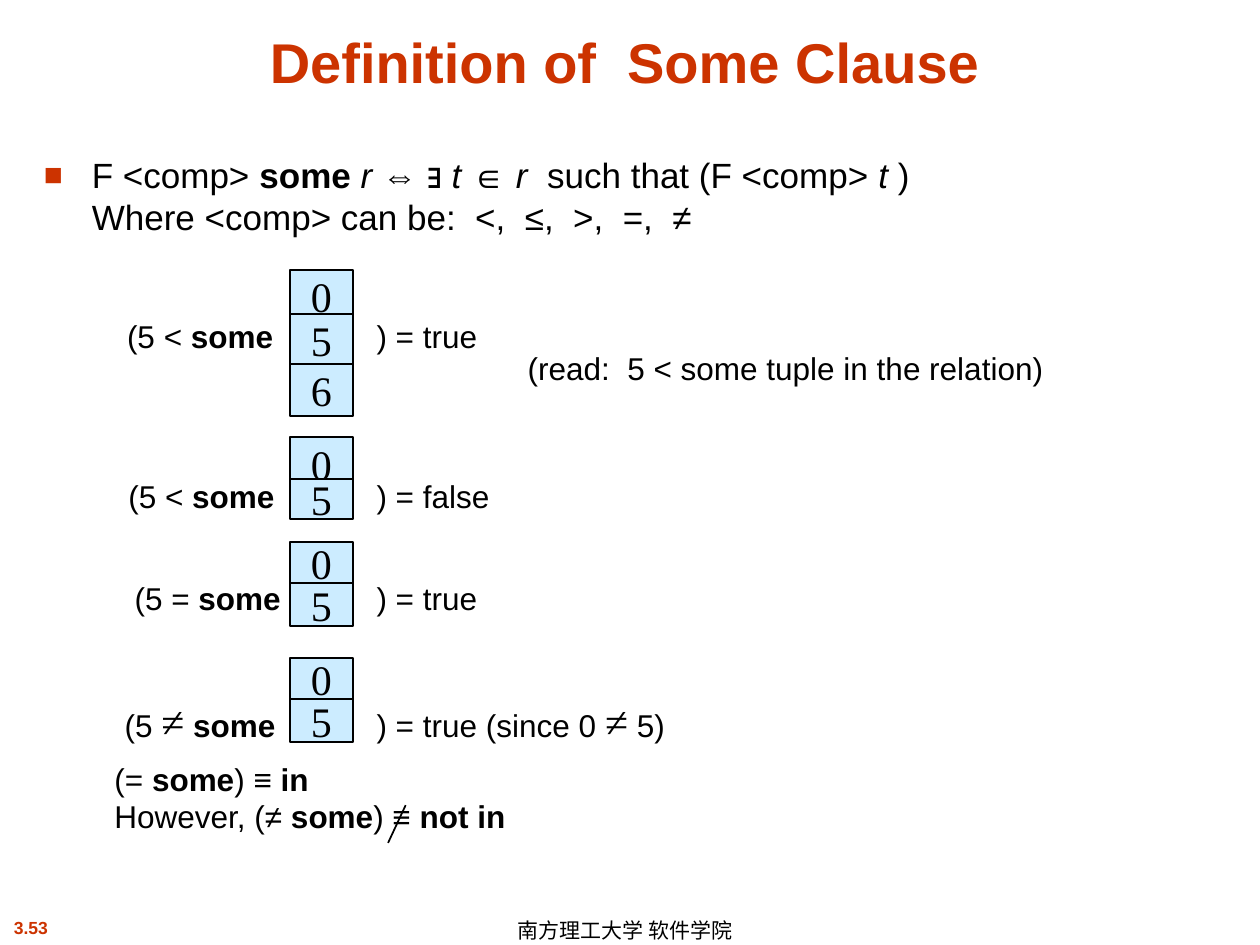
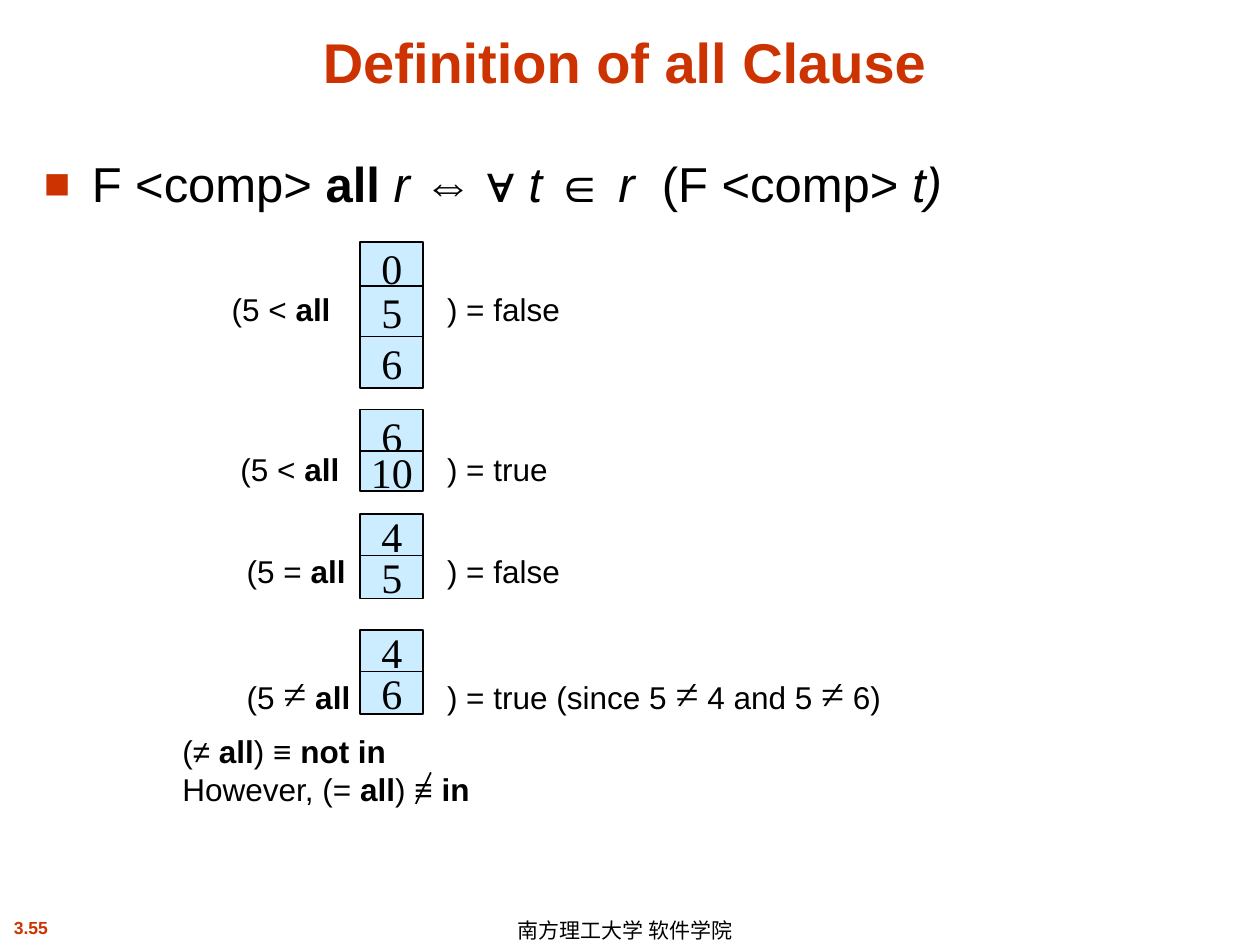
from dataclasses import dataclass
from typing import NamedTuple

from lxml.etree import SubElement
from pptx import Presentation
from pptx.dml.color import RGBColor
from pptx.enum.shapes import MSO_CONNECTOR as Connector, MSO_SHAPE as Shape
from pptx.enum.text import MSO_ANCHOR as Anchor, MSO_AUTO_SIZE as AutoSize, PP_ALIGN as Align
from pptx.oxml.ns import qn
from pptx.util import Inches, Pt

# Shared look
RED = RGBColor(0xCC, 0x33, 0x00)
BLACK = RGBColor(0x00, 0x00, 0x00)
CELL_BLUE = RGBColor(0xCC, 0xEC, 0xFF)
SANS, SERIF = "Arial", "Times New Roman"
FOOTER = "南方理工大学 软件学院"

# Layout below the top of the first relation: (offset, height) of each cell
STACKS = (
    ((0, 0.41), (0.35, 0.41), (0.75, 0.41)),
    ((1.33, 0.42), (1.66, 0.32)),
    ((2.16, 0.34), (2.49, 0.34)),
    ((3.08, 0.34), (3.41, 0.34)),
)
TEXT_OFFSETS = (0.33, 1.6, 2.41, 3.33)
CELL_WIDTH = 0.5
RESULT_GAP = 0.59
CONCLUSION_OFFSET = 3.84


class Span(NamedTuple):
    text: str
    bold: bool = False
    italic: bool = False
    serif: bool = False


class Place(NamedTuple):
    left: float
    top: float
    width: float
    height: float

    def inches(self) -> tuple:
        return tuple(Inches(value) for value in self)


def bold(text: str) -> Span:
    return Span(text, bold=True)


def italic(text: str) -> Span:
    return Span(text, italic=True)


BREAK = Span("\n")
NOT_EQUAL = Span("≠", serif=True)


@dataclass
class Case:
    label: list[Span]
    label_left: float
    label_width: float
    values: tuple[str, ...]
    result: list[Span]
    result_width: float = 1.33


@dataclass
class Clause:
    title: str
    number: str
    definition: list[Span]
    definition_size: int
    stack_left: float
    stack_top: float
    cases: list[Case]
    conclusion_left: float
    conclusion: list[list[Span]]
    slash: tuple[float, float, float, float]
    reading: str = ""


def style(font, size: float, color: RGBColor = BLACK, name: str = SANS, strong: bool = False) -> None:
    font.size, font.name, font.bold = Pt(size), name, strong
    font.color.rgb = color


def add_text(page, place: Place, lines: list[list[Span]], size: float = 18,
             color: RGBColor = BLACK, wrap: bool = True):
    frame = page.shapes.add_textbox(*place.inches()).text_frame
    frame.word_wrap = wrap
    for index, spans in enumerate(lines):
        para = frame.add_paragraph() if index else frame.paragraphs[0]
        for span in spans:
            if span == BREAK:
                para.add_line_break()
                continue
            run = para.add_run()
            run.text = span.text
            style(run.font, 24 if span.serif else size, color,
                  SERIF if span.serif else SANS, span.bold)
            run.font.italic = span.italic
    return frame


def add_bullet(para) -> None:
    props = para._p.get_or_add_pPr()
    props.set("marL", str(Inches(0.38)))
    props.set("indent", str(-Inches(0.38)))
    SubElement(SubElement(props, qn("a:buClr")), qn("a:srgbClr"), val=str(RED))
    SubElement(props, qn("a:buSzPct"), val="90000")
    SubElement(props, qn("a:buFont"), typeface=SANS)
    SubElement(props, qn("a:buChar"), char="■")


def add_cell(page, place: Place, value: str) -> None:
    box = page.shapes.add_shape(Shape.RECTANGLE, *place.inches())
    box.shadow.inherit = False
    box.fill.solid()
    box.fill.fore_color.rgb = CELL_BLUE
    box.line.color.rgb = BLACK
    box.line.width = Pt(1)
    frame = box.text_frame
    frame.text = value
    frame.word_wrap = False
    frame.vertical_anchor = Anchor.MIDDLE
    para = frame.paragraphs[0]
    para.alignment = Align.CENTER
    style(para.runs[0].font, 24, name=SERIF)


def add_slash(page, ends: tuple[float, float, float, float]) -> None:
    line = page.shapes.add_connector(Connector.STRAIGHT, *(Inches(end) for end in ends))
    line.line.color.rgb = BLACK
    line.line.width = Pt(1)
    SubElement(line._element.spPr, qn("a:effectLst"))


def add_frame(page, clause: Clause) -> None:
    # Title
    title = page.shapes.title
    title.left, title.top, title.width, title.height = Place(0.25, 0.13, 9.42, 0.67).inches()
    frame = title.text_frame
    frame.text = clause.title
    frame.auto_size = AutoSize.NONE
    frame.vertical_anchor = Anchor.BOTTOM
    para = frame.paragraphs[0]
    para.alignment = Align.CENTER
    style(para.runs[0].font, 32, RED, strong=True)

    # Page number and footer
    number = add_text(page, Place(0, 7.23, 0.49, 0.27), [[bold(clause.number)]], 10, RED, wrap=False)
    number.paragraphs[0].alignment = Align.CENTER
    footer = add_text(page, Place(4.01, 7.25, 2.24, 0.25), [[Span(FOOTER)]], 12, wrap=False)
    footer.vertical_anchor = Anchor.MIDDLE
    footer.paragraphs[0].line_spacing = 1.1


def add_case(page, clause: Clause, case: Case, stack: tuple, offset: float) -> None:
    for value, (cell_offset, height) in zip(case.values, stack):
        place = Place(clause.stack_left, clause.stack_top + cell_offset, CELL_WIDTH, height)
        add_cell(page, place, case.values[stack.index((cell_offset, height))] if not value else value)
    top = clause.stack_top + offset
    height = 0.5 if NOT_EQUAL in case.label else 0.4
    add_text(page, Place(case.label_left, top, case.label_width, height), [case.label])
    add_text(page, Place(clause.stack_left + RESULT_GAP, top, case.result_width, height), [case.result])


def add_clause(deck, clause: Clause) -> None:
    page = deck.slides.add_slide(deck.slide_layouts[5])
    add_frame(page, clause)
    definition = add_text(page, Place(0.25, 1.17, 9.42, 5.75), [clause.definition],
                          clause.definition_size)
    add_bullet(definition.paragraphs[0])
    for case, stack, offset in zip(clause.cases, STACKS, TEXT_OFFSETS):
        add_case(page, clause, case, stack, offset)
    if clause.reading:
        add_text(page, Place(4.09, 2.72, 5.33, 0.4), [[Span(clause.reading)]])
    conclusion_top = clause.stack_top + CONCLUSION_OFFSET
    add_text(page, Place(clause.conclusion_left, conclusion_top, 7.44, 0.78), clause.conclusion)
    add_slash(page, clause.slash)


SOME = Clause(
    title="Definition of  Some Clause",
    number="3.53",
    definition=[
        Span("F <comp> "), bold("some "), italic("r "), Span("⇔ ∃ "), italic("t "), Span("∈"),
        italic(" r  "), Span("such that (F <comp> "), italic("t "), Span(")"), BREAK,
        Span("Where <comp> can be:  <,  ≤,  >,  =,  ≠"),
    ],
    definition_size=20,
    stack_left=2.3,
    stack_top=2.14,
    cases=[
        Case([Span("(5 < "), bold("some")], 0.91, 1.48, ("0", "5", "6"), [Span(") = true")], 1),
        Case([Span("(5 < "), bold("some")], 0.92, 1.51, ("0", "5"), [Span(") = false")]),
        Case([Span("(5 = "), bold("some")], 0.97, 1.67, ("0", "5"), [Span(") = true")]),
        Case([Span("(5 "), NOT_EQUAL, bold(" some")], 0.89, 1.58, ("0", "5"),
             [Span(") = true (since 0 "), NOT_EQUAL, Span(" 5)")], 2.75),
    ],
    conclusion_left=0.81,
    conclusion=[
        [Span("(= "), bold("some"), Span(") ≡ "), bold("in")],
        [Span("However, (≠ "), bold("some"), Span(") ≡ "), bold("not in")],
    ],
    slash=(3.22, 6.39, 3.08, 6.69),
    reading="(read:  5 < some tuple in the relation)",
)

ALL = Clause(
    title="Definition of all Clause",
    number="3.55",
    definition=[
        Span("F <comp> "), bold("all "), italic("r "), Span("⇔ ∀ "), italic("t "), Span("∈"),
        italic(" r "), Span(" (F <comp> "), italic("t)"),
    ],
    definition_size=28,
    stack_left=2.86,
    stack_top=1.92,
    cases=[
        Case([Span("(5 < "), bold("all")], 1.74, 1.33, ("0", "5", "6"), [Span(") = false")]),
        Case([Span("(5 < "), bold("all")], 1.81, 1.33, ("6", "10"), [Span(") = true")]),
        Case([Span("(5 = "), bold("all")], 1.86, 1.33, ("4", "5"), [Span(") = false")]),
        Case([Span("(5 "), NOT_EQUAL, bold(" all")], 1.86, 1.83, ("4", "6"),
             [Span(") = true (since 5 "), NOT_EQUAL, Span(" 4 and 5 "), NOT_EQUAL, Span(" 6)")], 5),
    ],
    conclusion_left=1.35,
    conclusion=[
        [Span("(≠ "), bold("all"), Span(") ≡ "), bold("not in")],
        [Span("However, (= "), bold("all"), Span(") ≡ "), bold("in")],
    ],
    slash=(3.42, 6.13, 3.3, 6.38),
)


def main() -> None:
    deck = Presentation()
    deck.slide_width, deck.slide_height = Inches(10), Inches(7.5)
    for clause in (SOME, ALL):
        add_clause(deck, clause)
    deck.save("out.pptx")


if __name__ == "__main__":
    main()
